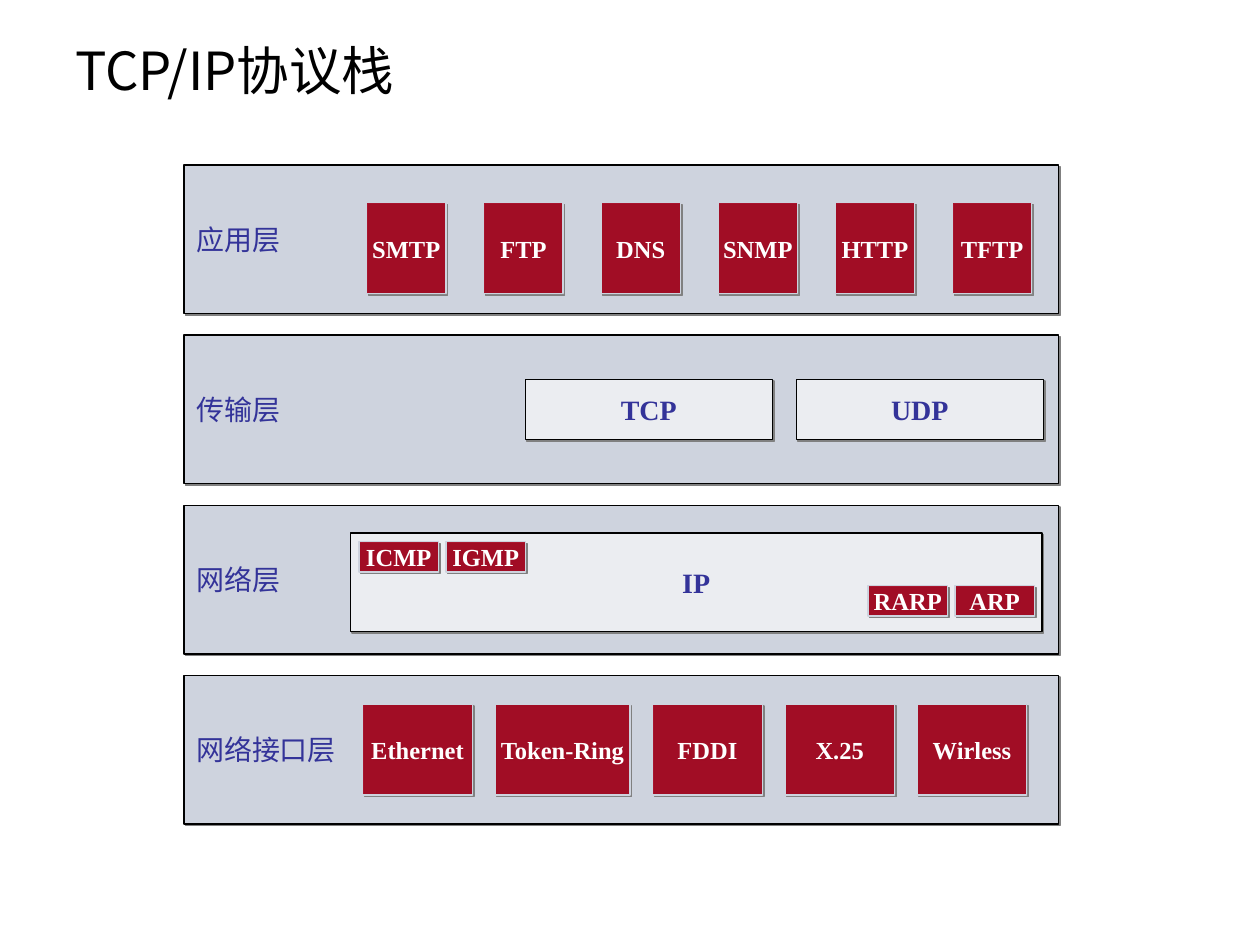
from lxml import etree
from pptx import Presentation
from pptx.dml.color import RGBColor
from pptx.enum import shapes, text
from pptx.oxml import ns
from pptx.util import Inches, Pt

LATIN, CJK = "Times New Roman", "Noto Sans CJK SC"
TITLE = "TCP/IP协议栈"
LAYERS = ["应用层", "传输层", "网络层", "网络接口层"]
LAYER_LEFT, LAYER_TOP, LAYER_WIDTH, LAYER_HEIGHT, LAYER_PITCH = 1.46, 1.31, 6.94, 1.18, 1.35

LAYER = dict(fill="CED3DE", line="000000", color="333399", size=16, bold=False, centred=False)
PANEL = dict(fill="EBEDF1", line="000000", color="333399", size=16)
CHIP = dict(fill="A4001B", line="CED3DE", color="FFFFFF", size=14, opacity=90)

# style, left, top, height, gap, [(name, width), ...]
ROWS = [
    (CHIP, 2.91, 1.61, 0.72, 0.3,
     [(name, 0.63) for name in ("SMTP", "FTP", "DNS", "SNMP", "HTTP", "TFTP")]),
    (PANEL, 4.17, 3.01, 0.48, 0.19, [("TCP", 1.96), ("UDP", 1.96)]),
    (PANEL, 2.78, 4.23, 0.78, 0, [("IP", 5.49)]),
    (CHIP, 2.85, 4.3, 0.24, 0.06, [("ICMP", 0.63), ("IGMP", 0.63)]),
    (CHIP, 6.89, 4.65, 0.24, 0.06, [("RARP", 0.63), ("ARP", 0.63)]),
    (CHIP, 2.88, 5.59, 0.72, 0.18,
     [("Ethernet", 0.87), ("Token-Ring", 1.07), ("FDDI", 0.87), ("X.25", 0.87), ("Wirless", 0.87)]),
]


def rgb(value):
    return RGBColor.from_string(value)


def add_child(parent, tag, **attributes):
    return etree.SubElement(parent, ns.qn(tag), attributes)


def write(shape, words, size, color, font, bold=False):
    frame = shape.text_frame
    frame.vertical_anchor = text.MSO_ANCHOR.MIDDLE
    para = frame.paragraphs[0]
    span = para.add_run()
    span.text = words
    span.font.size, span.font.bold, span.font.name = Pt(size), bold, font
    span.font.color.rgb = rgb(color)
    add_child(span.font._element, "a:ea", typeface=CJK)
    return para


def add_shadow(shape):
    """Give the shape a hard grey shadow towards the lower right."""
    shape.shadow.inherit = False
    effects = shape._element.spPr.find(ns.qn("a:effectLst"))
    shadow = add_child(effects, "a:outerShdw", blurRad="0", dist=str(Pt(1.4)),
                       dir="2700000", algn="ctr", rotWithShape="0")
    add_child(shadow, "a:srgbClr", val="808080")


def add_box(slide, words, left, top, width, height, fill, line, color, size,
            bold=True, centred=True, opacity=100):
    box = slide.shapes.add_shape(shapes.MSO_SHAPE.RECTANGLE, Inches(left), Inches(top),
                                 Inches(width), Inches(height))
    box.fill.solid()
    box.fill.fore_color.rgb = rgb(fill)
    if opacity < 100:
        fill_color = box._element.spPr.find(ns.qn("a:solidFill"))[0]
        add_child(fill_color, "a:alpha", val=str(opacity * 1000))
    box.line.color.rgb = rgb(line)
    box.line.width = Pt(0.75)
    add_shadow(box)
    box.text_frame.word_wrap = False
    para = write(box, words, size, color, LATIN, bold)
    para.alignment = text.PP_ALIGN.CENTER if centred else text.PP_ALIGN.LEFT


def main():
    deck = Presentation()
    deck.slide_width, deck.slide_height = Inches(10), Inches(7.5)
    slide = deck.slides.add_slide(deck.slide_layouts[6])

    title = slide.shapes.add_textbox(Inches(0.5), Inches(0.13), Inches(8.2), Inches(0.85))
    title.text_frame.word_wrap = True
    write(title, TITLE, 30, "000000", CJK)

    for index, name in enumerate(LAYERS):
        add_box(slide, name, LAYER_LEFT, LAYER_TOP + index * LAYER_PITCH,
                LAYER_WIDTH, LAYER_HEIGHT, **LAYER)

    for style, left, top, height, gap, protocols in ROWS:
        for name, width in protocols:
            add_box(slide, name, left, top, width, height, **style)
            left += width + gap

    deck.save("out.pptx")


if __name__ == "__main__":
    main()
